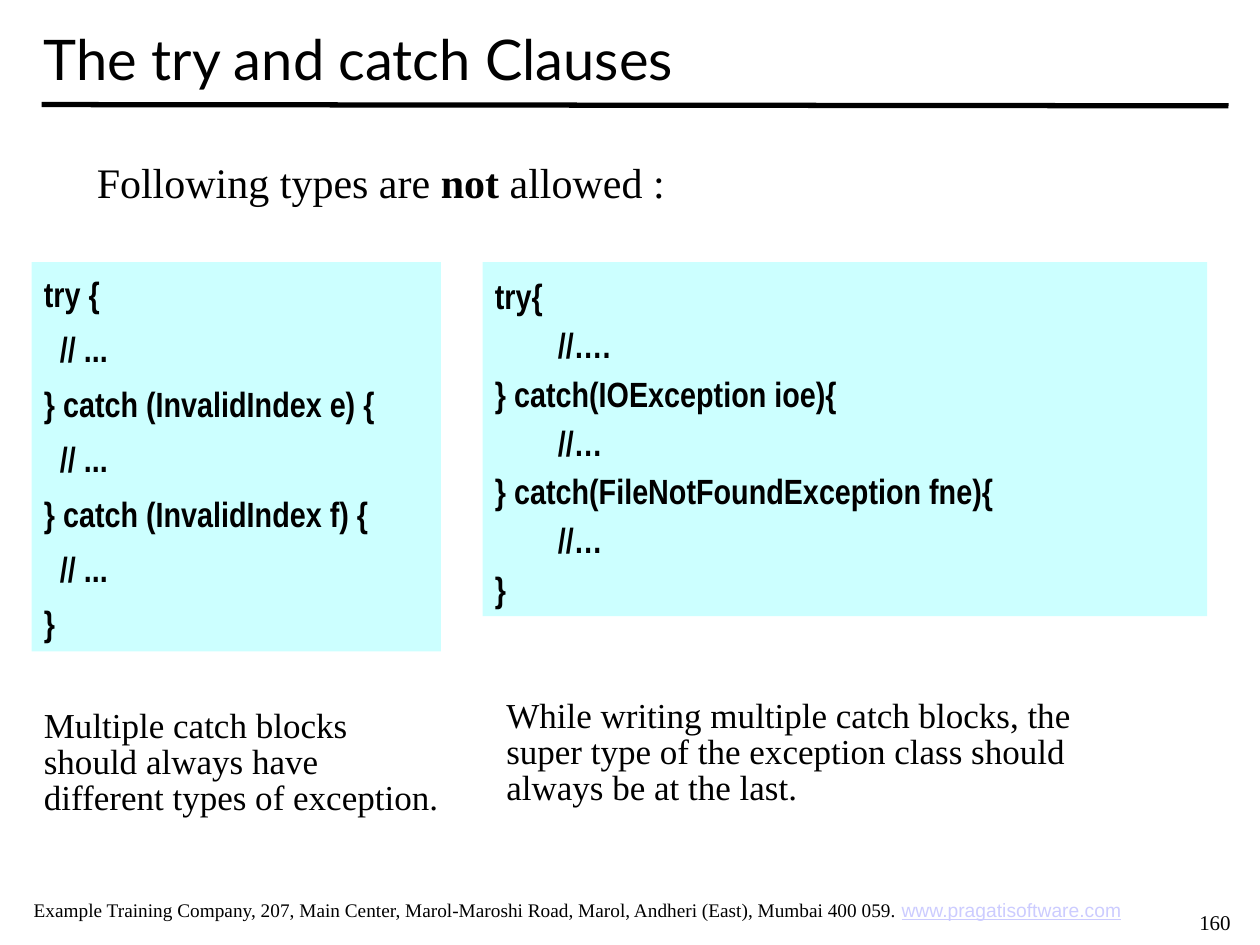
from pptx import Presentation
from pptx.dml.color import RGBColor
from pptx.enum.shapes import MSO_CONNECTOR, MSO_SHAPE
from pptx.enum.text import MSO_ANCHOR, PP_ALIGN
from pptx.oxml.ns import qn
from pptx.util import Inches, Pt
from lxml import etree

SERIF = "Times New Roman"
CODE_FORMAT = {"size": 20, "font": "Arial Narrow", "bold": True}
NOTE_FORMAT = {"size": 20, "line_spacing": 0.86}

SAME_TYPE_CODE = """try {
  // ...
} catch (InvalidIndex e) {
  // ...
} catch (InvalidIndex f) {
  // ...
}"""
SUPER_TYPE_CODE = """try{
\t//….
} catch(IOException ioe){
\t//…
} catch(FileNotFoundException fne){
\t//…
}"""


def rgb(color):
    return RGBColor.from_string(color)


def write_text(shape, lines, size, font=SERIF, color="000000", bold=False,
               align=PP_ALIGN.LEFT, anchor=MSO_ANCHOR.TOP, line_spacing=None,
               space_before=0, hanging=0):
    """Write lines, each a list of (text, overrides) runs, into a shape."""
    frame = shape.text_frame
    frame.word_wrap = True
    frame.vertical_anchor = anchor
    for number, runs in enumerate(lines):
        paragraph = frame.add_paragraph() if number else frame.paragraphs[0]
        paragraph.alignment = align
        if line_spacing:
            paragraph.line_spacing = line_spacing
        if number and space_before:
            paragraph.space_before = Pt(space_before)
        if hanging:
            properties = paragraph._p.get_or_add_pPr()
            properties.set("marL", str(Inches(hanging)))
            properties.set("indent", str(-Inches(hanging)))
        for text, overrides in runs:
            run = paragraph.add_run()
            run.text = text
            run.font.size = Pt(size)
            run.font.name = overrides.get("font", font)
            run.font.bold = overrides.get("bold", bold)
            run.font.underline = overrides.get("underline", False)
            run.font.color.rgb = rgb(overrides.get("color", color))


def add_text(slide, left, top, width, height, runs, **text_format):
    box = slide.shapes.add_textbox(
        Inches(left), Inches(top), Inches(width), Inches(height))
    if isinstance(runs, str):
        runs = [(runs, {})]
    write_text(box, [runs], **text_format)


def add_code_panel(slide, left, top, width, height, code, **text_format):
    panel = slide.shapes.add_shape(
        MSO_SHAPE.RECTANGLE,
        Inches(left), Inches(top), Inches(width), Inches(height))
    panel.shadow.inherit = False
    panel.fill.solid()
    panel.fill.fore_color.rgb = rgb("CCFFFF")
    panel.line.fill.background()
    lines = [[(line, {})] for line in code.splitlines()]
    write_text(panel, lines, **CODE_FORMAT, **text_format)


def add_rule(slide, left, top, right, bottom):
    rule = slide.shapes.add_connector(
        MSO_CONNECTOR.STRAIGHT,
        Inches(left), Inches(top), Inches(right), Inches(bottom))
    rule.line.width = Pt(3)
    rule.line.color.rgb = rgb("000000")
    etree.SubElement(rule._element.spPr, qn("a:effectLst"))


def main():
    presentation = Presentation()
    presentation.slide_width = Inches(10)
    presentation.slide_height = Inches(7.5)
    slide = presentation.slides.add_slide(presentation.slide_layouts[6])

    # Title and rule
    add_rule(slide, 0.33, 0.83, 9.75, 0.84)
    add_text(slide, 0.25, 0, 9.5, 0.92, "The try and catch Clauses",
             size=32, font="Lato", anchor=MSO_ANCHOR.MIDDLE)

    # Introduction
    add_text(slide, 0.67, 1.25, 6.5, 0.45,
             [("Following types are ", {}), ("not", {"bold": True}),
              (" allowed :", {})], size=24, line_spacing=0.86)

    # Code panels
    add_code_panel(slide, 0.25, 2.08, 3.25, 3.09, SAME_TYPE_CODE,
                   line_spacing=1.1, space_before=5, hanging=0.37)
    add_code_panel(slide, 3.83, 2.08, 5.75, 2.81, SUPER_TYPE_CODE,
                   line_spacing=1.16)

    # Explanations below the panels
    add_text(slide, 0.25, 5.58, 3.33, 1.25,
             "Multiple catch blocks should always have different types of "
             "exception.", **NOTE_FORMAT)
    add_text(slide, 3.92, 5.5, 5, 0.96,
             "While writing multiple catch blocks, the super type of the "
             "exception class should always be at the last.", **NOTE_FORMAT)

    # Footer
    add_text(slide, 0, 7.08, 9.17, 0.29,
             [("Example Training Company, 207, Main Center, Marol-Maroshi "
               "Road, Marol, Andheri (East), Mumbai 400 059. ", {}),
              ("www.pragatisoftware.com",
               {"font": "Arial", "color": "CCCCFF", "underline": True})],
             size=11, align=PP_ALIGN.CENTER)
    add_text(slide, 9.42, 7.17, 0.54, 0.3, "160", size=12)

    presentation.save("out.pptx")


if __name__ == "__main__":
    main()
